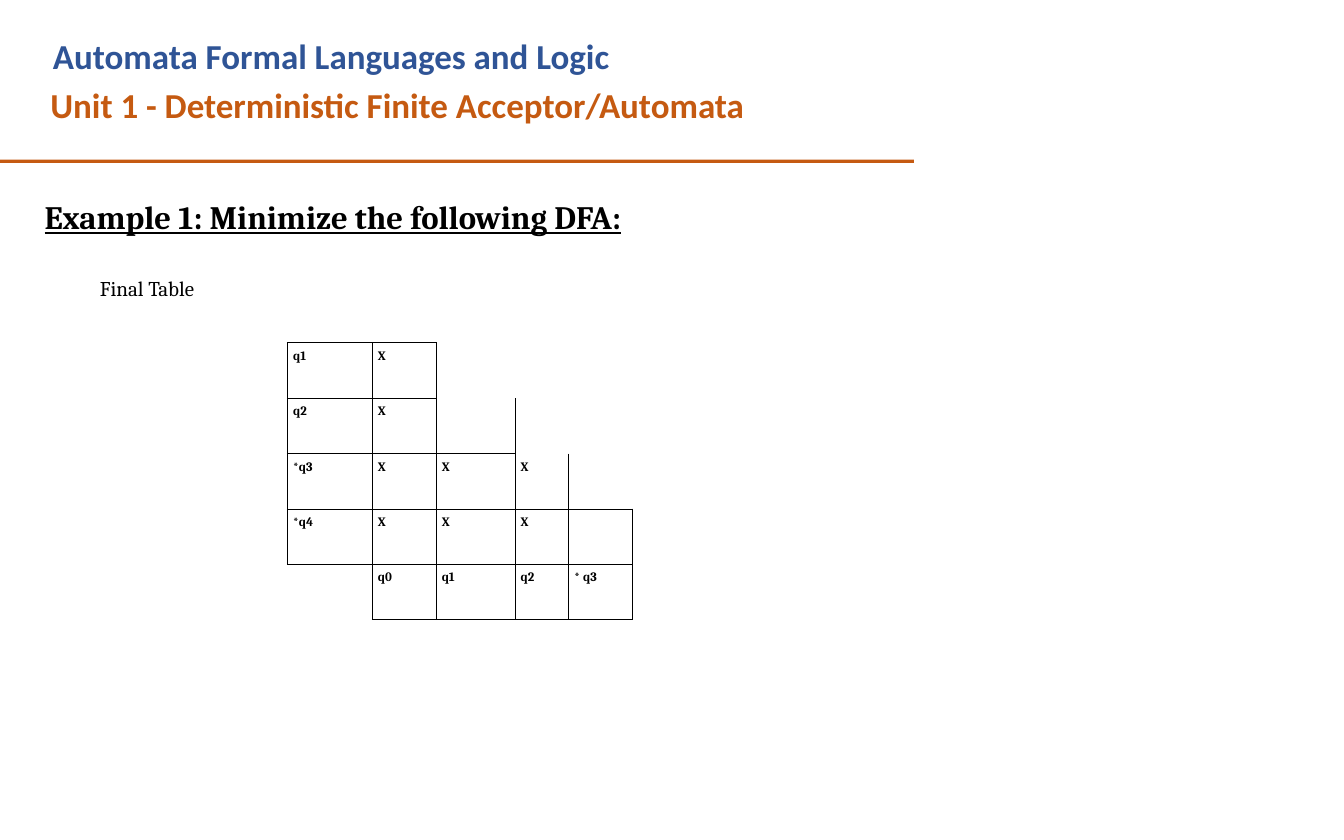
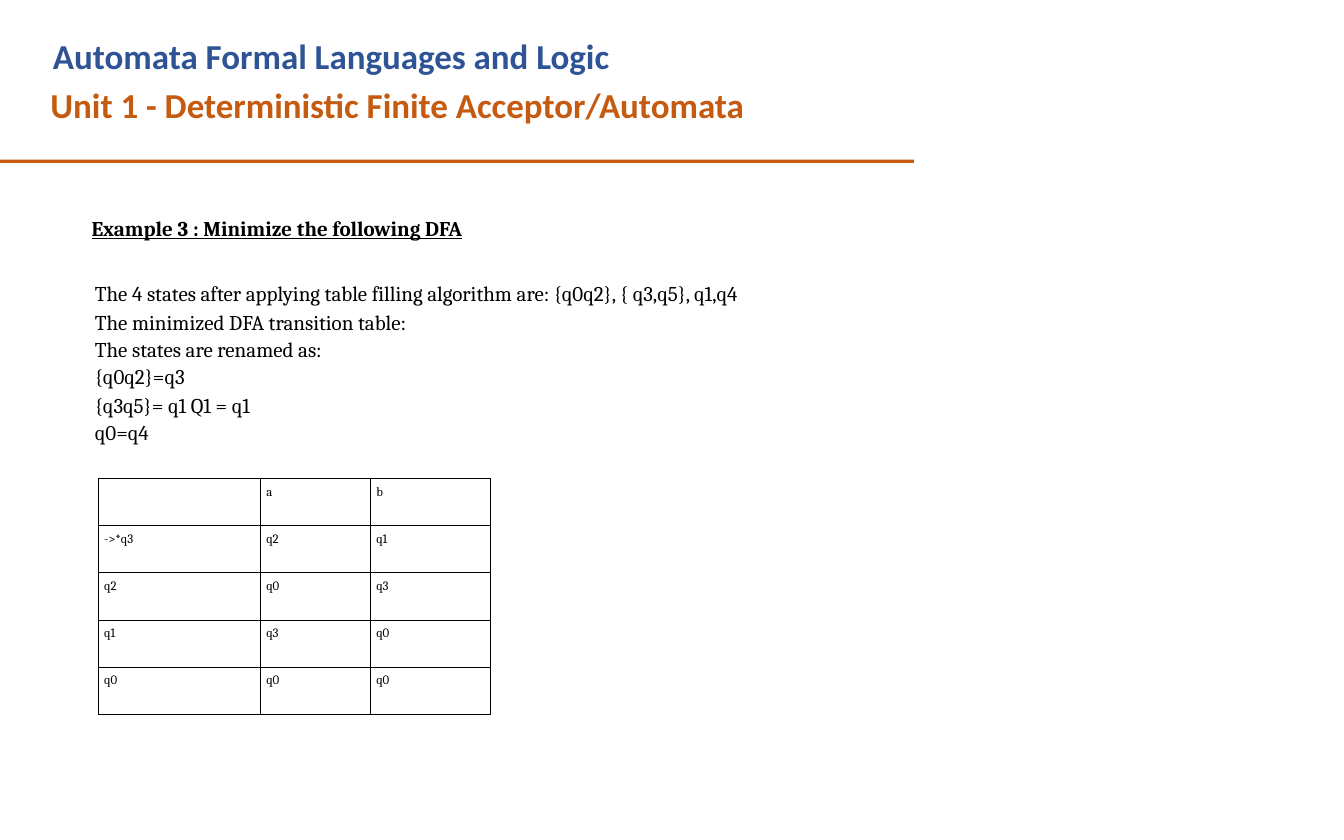
import dataclasses

import pptx
import pptx.dml.color
import pptx.enum.shapes
import pptx.enum.text
import pptx.oxml
import pptx.oxml.ns
import pptx.util

PX = 9144


@dataclasses.dataclass(frozen=True)
class Theme:
    blue = pptx.dml.color.RGBColor.from_string("2F5496")
    orange = pptx.dml.color.RGBColor.from_string("C55A11")
    black = pptx.dml.color.RGBColor.from_string("000000")
    title_font = "Calibri"
    body_font = "Cambria"
    title_size = 30
    heading_size = 28
    body_size = 18
    cell_size = 11


theme = Theme()


def add_text(page, bounds, lines, size, heading=False, wrap=True):
    box = page.shapes.add_textbox(*[value * PX for value in bounds])
    frame = box.text_frame
    frame.word_wrap = wrap
    frame.auto_size = pptx.enum.text.MSO_AUTO_SIZE.SHAPE_TO_FIT_TEXT
    frame.margin_left = 11 * PX
    for index, (text, before, spacing) in enumerate(lines):
        para = frame.paragraphs[0] if index == 0 else frame.add_paragraph()
        para.text = text
        para.space_before = pptx.util.Pt(before)
        para.line_spacing = spacing
        para.font.name = theme.body_font
        para.font.size = pptx.util.Pt(size)
        para.font.color.rgb = theme.black
        para.font.bold = heading
        para.font.underline = heading


def add_grid(page, left, top, widths, row_height, rows, bold, merges, borders):
    frame = page.shapes.add_table(
        len(rows), len(widths), left * PX, top * PX,
        sum(widths) * PX, row_height * len(rows) * PX)
    table = frame.table
    table.first_row = False
    table.horz_banding = False
    for column, width in zip(table.columns, widths):
        column.width = width * PX
    for row in table.rows:
        row.height = row_height * PX
    for first, last in merges:
        table.cell(*first).merge(table.cell(*last))
    for r, texts in enumerate(rows):
        for c, text in enumerate(texts):
            cell = table.cell(r, c)
            cell.margin_left = cell.margin_top = 7 * PX
            cell.margin_right = cell.margin_bottom = 0
            properties = cell._tc.get_or_add_tcPr()
            for side in "LRTB":
                shown = side in borders.get((r, c), "LRTB")
                paint = f'<a:solidFill><a:srgbClr val="{theme.black}"/></a:solidFill>' if shown else "<a:noFill/>"
                properties.append(pptx.oxml.parse_xml(
                    f'<a:ln{side} {pptx.oxml.ns.nsdecls("a")} w="9525">{paint}</a:ln{side}>'))
            cell.fill.background()
            para = cell.text_frame.paragraphs[0]
            para.text = text
            para.font.name = theme.body_font
            para.font.size = pptx.util.Pt(theme.cell_size)
            para.font.color.rgb = theme.black
            para.font.bold = bold


deck = pptx.Presentation()
deck.slide_width = 1600 * PX
deck.slide_height = 1000 * PX
pages = [deck.slides.add_slide(deck.slide_layouts[6]) for _ in range(2)]

title_lines = [
    ("Automata Formal Languages and Logic", theme.blue, 4, 0),
    ("Unit 1 - Deterministic Finite Acceptor/Automata", theme.orange, 1, 6),
]
for page in pages:
    title = page.shapes.add_textbox(59 * PX, 31 * PX, 833 * PX, 119 * PX)
    frame = title.text_frame
    frame.word_wrap = True
    frame.margin_left = frame.margin_right = frame.margin_bottom = 0
    frame.margin_top = 10 * PX
    for index, (text, color, indent, before) in enumerate(title_lines):
        para = frame.paragraphs[0] if index == 0 else frame.add_paragraph()
        para.text = text
        para._p.get_or_add_pPr().set("marL", str(indent * PX))
        para.space_before = pptx.util.Pt(before)
        para.font.name = theme.title_font
        para.font.size = pptx.util.Pt(theme.title_size)
        para.font.bold = True
        para.font.color.rgb = color
    rule = page.shapes.add_shape(
        pptx.enum.shapes.MSO_SHAPE.RECTANGLE, 0, 190 * PX, 1088 * PX, 4 * PX)
    rule.shadow.inherit = False
    rule.fill.solid()
    rule.fill.fore_color.rgb = theme.orange
    rule.line.fill.background()

final_page, minimized_page = pages

add_text(final_page, (42, 230, 1158, 57),
         [("Example 1: Minimize the following DFA:", 0, 1.0)],
         theme.heading_size, heading=True)
add_text(final_page, (108, 323, 138, 40), [("Final Table", 0, 1.0)],
         theme.body_size, wrap=False)
add_grid(
    final_page, 342, 408, [101, 76, 94, 64, 76], 66,
    [["q1", "X", "", "", ""],
     ["q2", "X", "", "", ""],
     ["*q3", "X", "X", "X", ""],
     ["*q4", "X", "X", "X", ""],
     ["", "q0", "q1", "q2", "* q3"]],
    bold=True,
    merges=[((0, 2), (0, 4)), ((1, 3), (1, 4))],
    borders={(0, 2): "L", (0, 3): "", (0, 4): "",
             (1, 2): "LRB", (1, 3): "L", (1, 4): "",
             (2, 3): "LRB", (2, 4): "LB", (4, 0): "TR"})

add_text(minimized_page, (98, 252, 474, 40),
         [("Example 3 : Minimize the following DFA", 0, 1.0)],
         theme.body_size, heading=True, wrap=False)
add_text(minimized_page, (102, 325, 800, 213), [
    ("The 4 states after applying table filling algorithm are: {q0q2}, { q3,q5}, q1,q4 "
     "The minimized DFA transition table:", 0, 1.14),
    ("The states are renamed as:", 1.8, 1.0),
    ("{q0q2}=q3", 1.8, 1.0),
    ("{q3q5}= q1 Q1 = q1", 0, 1.14),
    ("q0=q4", 1.8, 1.0),
], theme.body_size)
add_grid(
    minimized_page, 117, 570, [193, 131, 143], 56,
    [["", "a", "b"],
     ["->*q3", "q2", "q1"],
     ["q2", "q0", "q3"],
     ["q1", "q3", "q0"],
     ["q0", "q0", "q0"]],
    bold=False, merges=[], borders={})

deck.save("out.pptx")
